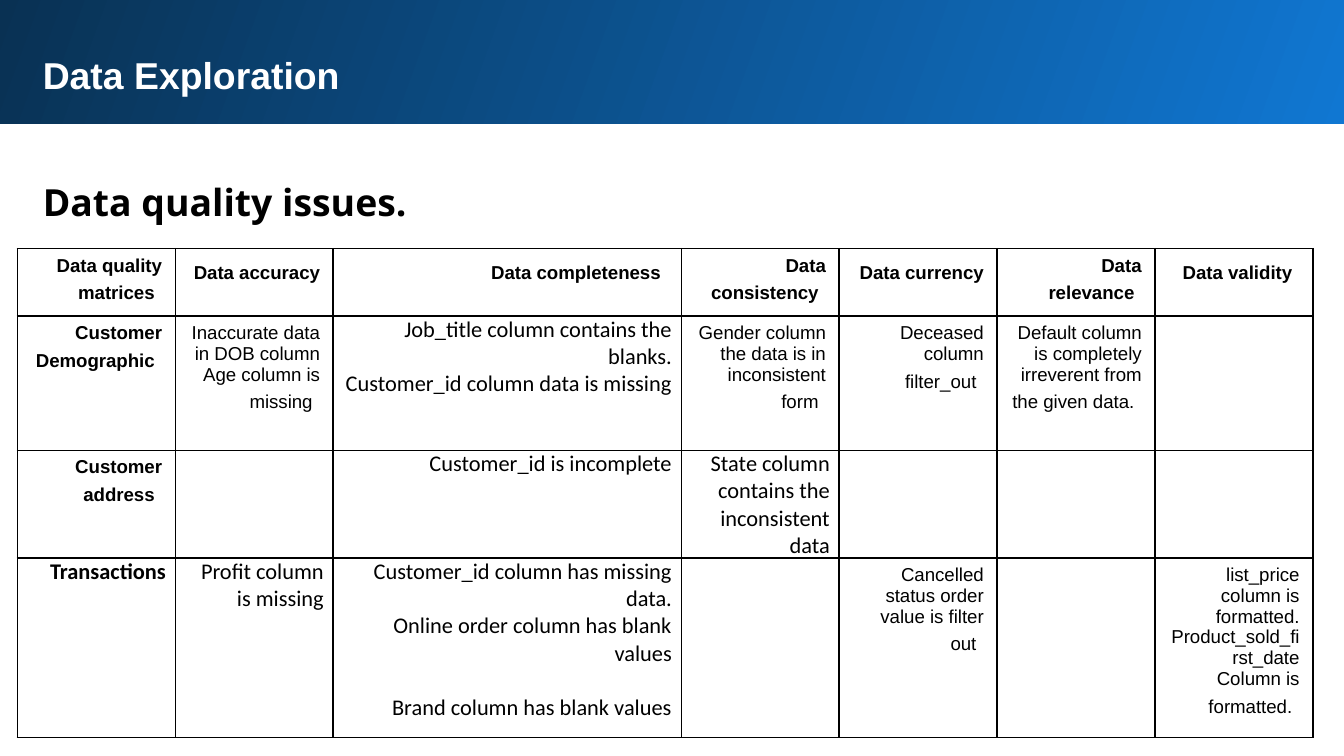
from lxml.etree import SubElement
from pptx import Presentation
from pptx.dml.color import RGBColor
from pptx.enum.shapes import MSO_SHAPE as SHAPE
from pptx.enum.text import PP_ALIGN as ALIGN
from pptx.oxml.ns import qn
from pptx.util import Inches, Pt

BLACK, WHITE = "000000", "FFFFFF"
TABLE_W, WIDE_COL = 9.64, 2.59
NARROW_COL = (TABLE_W - WIDE_COL) / 6
COLS = [NARROW_COL] * 2 + [WIDE_COL] + [NARROW_COL] * 4
ROWS = [0.5, 1, 0.78, 1.26]
CELLS = [
    [["Data quality matrices"], ["Data accuracy"], ["Data completeness"],
     ["Data consistency"], ["Data currency"], ["Data relevance"], ["Data validity"]],
    [["Customer Demographic"],
     ["Inaccurate data in DOB column", "Age column is missing"],
     ["Job_title column contains the blanks.", "Customer_id column data is missing"],
     ["Gender column the data is in inconsistent form"],
     ["Deceased column filter_out"],
     ["Default column is completely irreverent from the given data."], []],
    [["Customer address"], [], ["Customer_id is incomplete"],
     ["State column contains the inconsistent data"], [], [], []],
    [["Transactions"], ["Profit column is missing"],
     ["Customer_id column has missing data.", "Online order column has blank values",
      "Brand column has blank values"],
     [], ["Cancelled status order value is filter out"], [],
     ["list_price column is formatted.", "Product_sold_first_date",
      "Column is formatted."]],
]
CALIBRI_CELLS = {(1, 2), (2, 2), (2, 3), (3, 0), (3, 1), (3, 2)}


def rgb(value):
    return RGBColor.from_string(value)


def add_run(p, text, size, font, color=BLACK, bold=False):
    r = p.add_run()
    r.text = text
    for name, value in {"size": Pt(size), "name": font, "bold": bold}.items():
        setattr(r.font, name, value)
    r.font.color.rgb = rgb(color)


def add_heading(s, x, y, w, h, text, font, color, spacing=1.0):
    tf = s.shapes.add_textbox(Inches(x), Inches(y), Inches(w), Inches(h)).text_frame
    tf.word_wrap = True
    for side in ("left", "top", "right", "bottom"):
        setattr(tf, f"margin_{side}", Inches(0.1))
    p = tf.paragraphs[0]
    p.line_spacing = spacing
    add_run(p, text, 20, font, color, True)


def add_banner(s, x, y, w, h):
    sp = s.shapes.add_shape(SHAPE.RECTANGLE, Inches(x), Inches(y), Inches(w), Inches(h))
    sp.shadow.inherit = False
    sp.line.fill.background()
    sp.fill.gradient()
    sp.fill.gradient_angle = 160
    for stop, color in zip(sp.fill.gradient_stops, ("1077D2", "093153")):
        stop.color.rgb = rgb(color)
    add_heading(s, x + 0.25, y + 0.29, 9.37, 0.51, "Data Exploration", "Arial", WHITE)


def set_borders(cell):
    tc_pr = cell._tc.get_or_add_tcPr()
    for side in ("a:lnL", "a:lnR", "a:lnT", "a:lnB"):
        ln = SubElement(tc_pr, qn(side), w=str(Pt(1)))
        SubElement(SubElement(ln, qn("a:solidFill")), qn("a:srgbClr"), val=BLACK)


def fill_cell(cell, lines, calibri, bold):
    set_borders(cell)
    cell.fill.background()
    if calibri:
        for side, value in {"left": 0.07, "right": 0.07, "top": 0, "bottom": 0}.items():
            setattr(cell, f"margin_{side}", Inches(value))
    tf = cell.text_frame
    for i, line in enumerate(lines):
        p = tf.add_paragraph() if i else tf.paragraphs[0]
        p.alignment = ALIGN.RIGHT
        if calibri:
            add_run(p, line, 12, "Calibri", bold=bold)
            if i == 2:
                p.space_before = Pt(14.6)
        else:
            add_run(p, line, 10, "Arial", bold=bold)
            if i == len(lines) - 1:
                add_run(p, " ", 14, "Arial", bold=bold)


def add_issues_table(s, x, y):
    table = s.shapes.add_table(len(ROWS), len(COLS), Inches(x), Inches(y),
                               Inches(TABLE_W), Inches(sum(ROWS))).table
    table.first_row = table.horz_banding = False
    for col, width in zip(table.columns, COLS):
        col.width = Inches(width)
    for i, (row, height) in enumerate(zip(table.rows, ROWS)):
        row.height = Inches(height)
        for j, cell in enumerate(row.cells):
            fill_cell(cell, CELLS[i][j], (i, j) in CALIBRI_CELLS, i == 0 or j == 0)


def main():
    prs = Presentation()
    prs.slide_width = Inches(10)
    prs.slide_height = prs.slide_width * 9 // 16
    s = prs.slides.add_slide(prs.slide_layouts[6])
    add_banner(s, -0.03, 0, 10.05, 0.92)
    add_heading(s, 0.22, 1.18, 9.37, 0.56, "Data quality issues.", "Open Sans", BLACK, 1.15)
    add_issues_table(s, 0.13, 1.85)
    prs.save("out.pptx")


if __name__ == "__main__":
    main()
